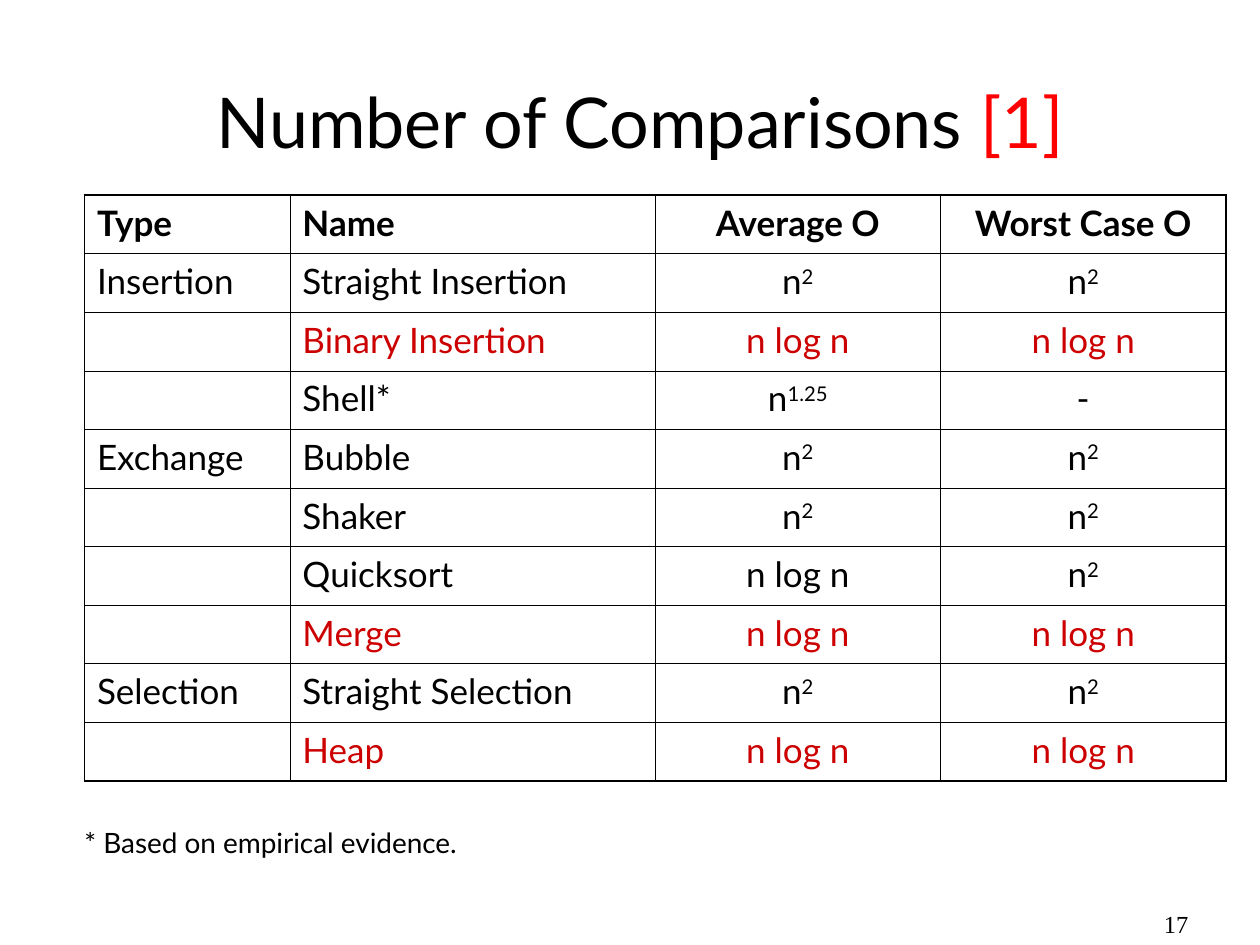
from lxml import etree
from pptx import Presentation, util as u
from pptx.dml.color import RGBColor
from pptx.enum import text
from pptx.oxml import ns

WIDTH, HEIGHT = u.Inches(10), u.Inches(7.5)
BLACK, RED, DARK_RED = "000000", "FF0000", "CC0000"
THIN, THICK = u.Pt(0.45), u.Pt(1.08)
LEFT, CENTER = text.PP_ALIGN.LEFT, text.PP_ALIGN.CENTER
COLUMN_SHARES = (0.18, 0.32, 0.25, 0.25)
SQUARE, N_LOG_N = "n^2", "n log n"
HEADER = ("Type", "Name", "Average O", "Worst Case O")
SORTS = (
    ("Insertion", "Straight Insertion", SQUARE, SQUARE),
    ("", "Binary Insertion", N_LOG_N, N_LOG_N),
    ("", "Shell*", "n^1.25", "-"),
    ("Exchange", "Bubble", SQUARE, SQUARE),
    ("", "Shaker", SQUARE, SQUARE),
    ("", "Quicksort", N_LOG_N, SQUARE),
    ("", "Merge", N_LOG_N, N_LOG_N),
    ("Selection", "Straight Selection", SQUARE, SQUARE),
    ("", "Heap", N_LOG_N, N_LOG_N),
)


def rgb(value):
    """Turn a hex string into a colour."""
    return RGBColor.from_string(value)


def share(left, top, width, height):
    """Turn shares of the slide into a box of lengths."""
    return (int(left * WIDTH), int(top * HEIGHT), int(width * WIDTH), int(height * HEIGHT))


def style(paragraph, size, color=BLACK, name="Lato", align=LEFT, bold=False):
    """Set the font and alignment of a paragraph."""
    paragraph.alignment = align
    font = paragraph.font
    font.name, font.size, font.bold = name, u.Pt(size), bold
    font.color.rgb = rgb(color)


def add_line(slide, box, words, size, inset=(0, 0), anchor=text.MSO_ANCHOR.TOP, spacing=1.0, **look):
    """Add a one-paragraph text box and return its paragraph."""
    frame = slide.shapes.add_textbox(*box).text_frame
    frame.word_wrap, frame.vertical_anchor = True, anchor
    frame.margin_left = frame.margin_right = u.Inches(inset[0])
    frame.margin_top = frame.margin_bottom = u.Inches(inset[1])
    paragraph = frame.paragraphs[0]
    paragraph.add_run().text = words
    paragraph.line_spacing = spacing
    style(paragraph, size, **look)
    return paragraph


def add_title(slide, box):
    """Add the heading with its red citation."""
    heading = add_line(slide, box, "Number of Comparisons ", 40,
                       anchor=text.MSO_ANCHOR.MIDDLE, align=CENTER)
    citation = heading.add_run()
    citation.text = "[1]"
    citation.font.color.rgb = rgb(RED)


def set_borders(cell, widths):
    """Draw the left, right, top and bottom borders of a cell."""
    properties = cell._tc.get_or_add_tcPr()
    for side, width in zip("LRTB", widths):
        line = etree.SubElement(properties, ns.qn(f"a:ln{side}"), w=str(int(width)))
        fill = etree.SubElement(line, ns.qn("a:solidFill"))
        etree.SubElement(fill, ns.qn("a:srgbClr"), val=BLACK)


def write_cell(cell, words, **look):
    """Write a cell, raising what follows a caret."""
    paragraph = cell.text_frame.paragraphs[0]
    base, _, exponent = words.partition("^")
    if base:
        paragraph.add_run().text = base
    if exponent:
        power = paragraph.add_run()
        power.text = exponent
        power._r.get_or_add_rPr().set("baseline", "30000")
    style(paragraph, 20, **look)


def add_comparisons(slide, box):
    """Add the table of sorts, with the n log n worst cases in red."""
    rows = (HEADER, *SORTS)
    last_row, last_column = len(rows) - 1, len(HEADER) - 1
    table = slide.shapes.add_table(len(rows), len(HEADER), *box).table
    table.first_row = table.horz_banding = False
    for column, part in zip(table.columns, COLUMN_SHARES):
        column.width = int(box[2] * part)
    for r, row in enumerate(rows):
        color = DARK_RED if row[-1] == N_LOG_N else BLACK
        for c, words in enumerate(row):
            cell = table.cell(r, c)
            edges = (c == 0, c == last_column, r == 0, r == last_row)
            set_borders(cell, [THICK if edge else THIN for edge in edges])
            cell.fill.background()
            write_cell(cell, words, color=color, bold=r == 0,
                       align=CENTER if c > 1 else LEFT)


def main():
    """Build and save the slide."""
    deck = Presentation()
    deck.slide_width, deck.slide_height = WIDTH, HEIGHT
    slide = deck.slides.add_slide(deck.slide_layouts[6])
    add_title(slide, share(0.083, 0.08, 0.85, 0.095))
    add_comparisons(slide, share(0.067, 0.2065, 0.906, 0.62))
    add_line(slide, share(0.862, 0.963, 0.138, 0.037), " 17", 14, inset=(0.1, 0.05),
             spacing=0.75, name="Times New Roman", align=CENTER)
    add_line(slide, share(0.067, 0.879, 0.693, 0.031), "* Based on empirical evidence.", 16,
             spacing=0.85)
    deck.save("out.pptx")


if __name__ == "__main__":
    main()
